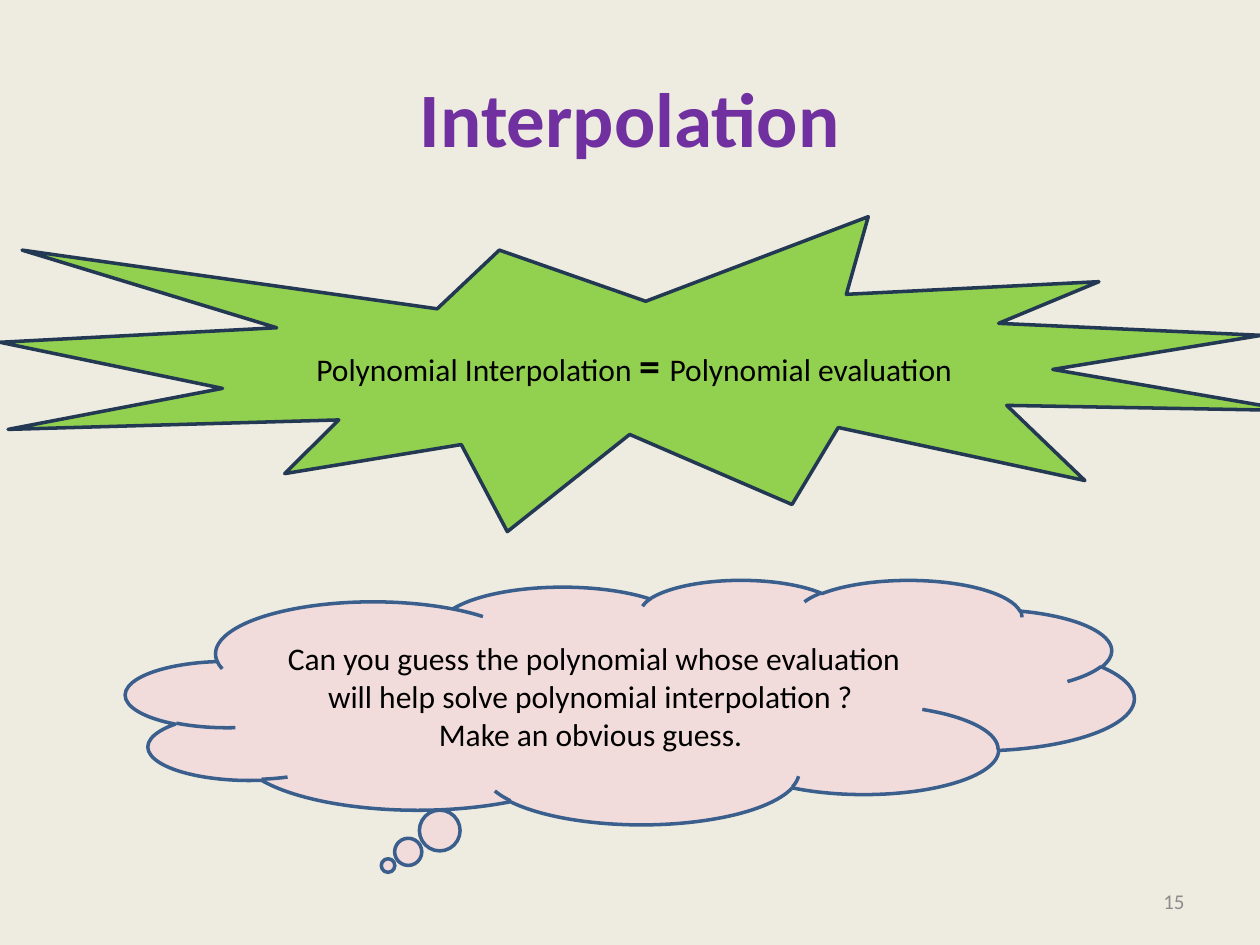
from pptx import Presentation
from pptx.dml.color import RGBColor
from pptx.enum.shapes import MSO_SHAPE
from pptx.enum.text import MSO_ANCHOR, PP_ALIGN
from pptx.util import Pt

EMU_PER_PX = 9144  # 100 px to the inch
TITLE_ONLY = 5
FONT = "Calibri"
BURST = MSO_SHAPE.EXPLOSION1
THOUGHT = MSO_SHAPE.CLOUD_CALLOUT
MIDDLE = MSO_ANCHOR.MIDDLE
CENTER, RIGHT = PP_ALIGN.CENTER, PP_ALIGN.RIGHT
COLORS = {
    "background": "EEECE1",
    "title": "7030A0",
    "text": "000000",
    "number": "8C8C8C",
    "burst": "92D050",
    "burst_line": "233953",
    "cloud": "F2DCDB",
    "cloud_line": "3A5F8C",
}


def px(length):
    return length * EMU_PER_PX


def color(name):
    return RGBColor.from_string(COLORS[name])


def write(frame, paragraphs, ink, align=CENTER):
    """Fill a text frame; each paragraph is a list of (text, size, bold)."""
    frame.word_wrap = True
    frame.vertical_anchor = MIDDLE
    for index, spans in enumerate(paragraphs):
        para = frame.paragraphs[0] if index == 0 else frame.add_paragraph()
        para.alignment = align
        for text, size, bold in spans:
            span = para.add_run()
            span.text = text
            span.font.name = FONT
            span.font.size = Pt(size)
            span.font.bold = bold
            span.font.color.rgb = color(ink)


def set_title(page, box, text):
    title = page.shapes.title
    title.left, title.top, title.width, title.height = map(px, box)
    write(title.text_frame, [[(text, 44, True)]], "title")


def add_callout(page, kind, box, fill, paragraphs):
    shape = page.shapes.add_shape(kind, *map(px, box))
    shape.shadow.inherit = False
    shape.fill.solid()
    shape.fill.fore_color.rgb = color(fill)
    shape.line.color.rgb = color(fill + "_line")
    shape.line.width = Pt(2)
    write(shape.text_frame, paragraphs, "text")
    return shape


def add_page_number(page, box, number):
    label = page.shapes.add_textbox(*map(px, box))
    write(label.text_frame, [[(number, 12, False)]], "number", RIGHT)


def main():
    deck = Presentation()
    deck.slide_width, deck.slide_height = px(1000), px(750)
    page = deck.slides.add_slide(deck.slide_layouts[TITLE_ONLY])
    page.background.fill.solid()
    page.background.fill.fore_color.rgb = color("background")

    set_title(page, (50, 30, 900, 125), "Interpolation")
    add_callout(page, BURST, (0, 172, 1025, 250), "burst", [[
        ("Polynomial Interpolation ", 18, False),
        ("= ", 24, True),
        ("Polynomial evaluation ", 18, False),
    ]])
    cloud = add_callout(page, THOUGHT, (100, 460, 800, 194), "cloud", [
        [("Can you guess the polynomial whose evaluation will help solve "
          "polynomial interpolation ? ", 18, False)],
        [("Make an obvious guess. ", 18, False)],
    ])
    cloud.adjustments[0] = -0.24
    cloud.adjustments[1] = 0.67
    add_page_number(page, (717, 695, 233, 40), "15")
    deck.save("out.pptx")


if __name__ == "__main__":
    main()
